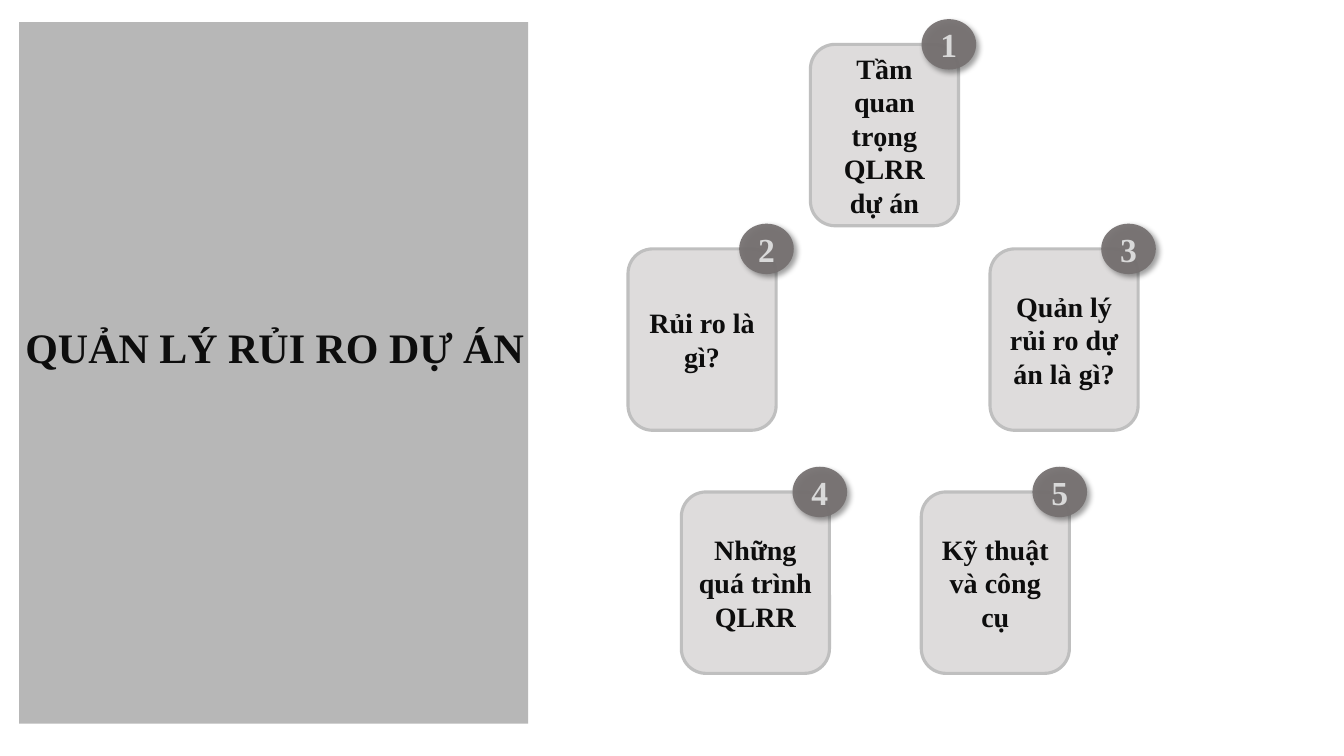
from lxml import etree
from pptx import Presentation
from pptx.dml.color import RGBColor
from pptx.enum.shapes import MSO_SHAPE
from pptx.enum.text import MSO_ANCHOR, PP_ALIGN
from pptx.oxml.ns import qn
from pptx.util import Pt

RECT, CARD, BADGE = (MSO_SHAPE.RECTANGLE, MSO_SHAPE.ROUNDED_RECTANGLE,
                     MSO_SHAPE.FLOWCHART_CONNECTOR)
MIDDLE, CENTER = MSO_ANCHOR.MIDDLE, PP_ALIGN.CENTER
FONT = "Times New Roman"
DARK, PALE = "0D0D0D", "D9D9D9"
TITLE_ONLY = 5

CARD_W, CARD_H = 105.8, 129.6
BADGE_W, BADGE_H = 39, 36
BADGE_DX, BADGE_DY = 79.4, -18
TOPICS = [
    ("Tầm quan trọng QLRR dự án", 578.9, 31.7),
    ("Rủi ro là gì?", 448.6, 177.8),
    ("Quản lý rủi ro dự án là gì?", 707.2, 177.8),
    ("Những quá trình QLRR", 486.7, 351.4),
    ("Kỹ thuật và công cụ", 658.1, 351.4),
]


def rgb(color):
    return RGBColor.from_string(color)


def set_text(sp, text, size, color):
    tf = sp.text_frame
    tf.text = text
    tf.word_wrap = True
    tf.vertical_anchor = MIDDLE
    p = tf.paragraphs[0]
    p.alignment = CENTER
    font = p.runs[0].font
    font.name, font.size, font.bold = FONT, Pt(size), True
    font.color.rgb = rgb(color)


def set_alpha(color_element, percent):
    etree.SubElement(color_element, qn("a:alpha"), val=str(percent * 1000))


def add_filled(s, kind, box, color, opacity):
    sp = s.shapes.add_shape(kind, *map(Pt, box))
    sp.shadow.inherit = False
    sp.fill.solid()
    sp.fill.fore_color.rgb = rgb(color)
    set_alpha(sp.element.spPr.find(f"{qn('a:solidFill')}/{qn('a:srgbClr')}"), opacity)
    sp.line.fill.background()
    return sp


def add_shadow(sp):
    """Give the shape a soft shadow towards the lower right."""
    effects = sp.element.spPr.find(qn("a:effectLst"))
    shadow = etree.SubElement(effects, qn("a:outerShdw"), blurRad=str(Pt(4)),
                              dist=str(Pt(3)), dir=str(45 * 60000),
                              algn="tl", rotWithShape="0")
    set_alpha(etree.SubElement(shadow, qn("a:srgbClr"), val="000000"), 40)


def add_title_panel(s, left, top, width, height):
    add_filled(s, RECT, (left, top, width, height), "7C7C7C", 55)
    title = s.shapes.title
    title_w, title_h = 547.2, 44
    title.left = Pt(left + (width - title_w) / 2 + 0.8)
    title.top = Pt(top + (height - title_h) / 2 - 18.9)
    title.width, title.height = Pt(title_w), Pt(title_h)
    set_text(title, "QUẢN LÝ RỦI RO DỰ ÁN", 30, DARK)
    title.element.getparent().append(title.element)  # bring in front of the panel


def add_topic(s, number, text, left, top):
    card = add_filled(s, CARD, (left, top, CARD_W, CARD_H), "D0CECE", 70)
    card.line.color.rgb = rgb("BFBFBF")
    card.line.width = Pt(2.25)
    set_text(card, text, 20, DARK)
    badge_box = (left + BADGE_DX, top + BADGE_DY, BADGE_W, BADGE_H)
    badge = add_filled(s, BADGE, badge_box, "767171", 94)
    add_shadow(badge)
    set_text(badge, str(number), 24, PALE)


def main():
    prs = Presentation()
    prs.slide_width, prs.slide_height = Pt(960), Pt(540)
    s = prs.slides.add_slide(prs.slide_layouts[TITLE_ONLY])
    add_title_panel(s, 13.7, 15.8, 363.6, 501.1)
    for number, (text, left, top) in enumerate(TOPICS, 1):
        add_topic(s, number, text, left, top)
    prs.save("out.pptx")


if __name__ == "__main__":
    main()
